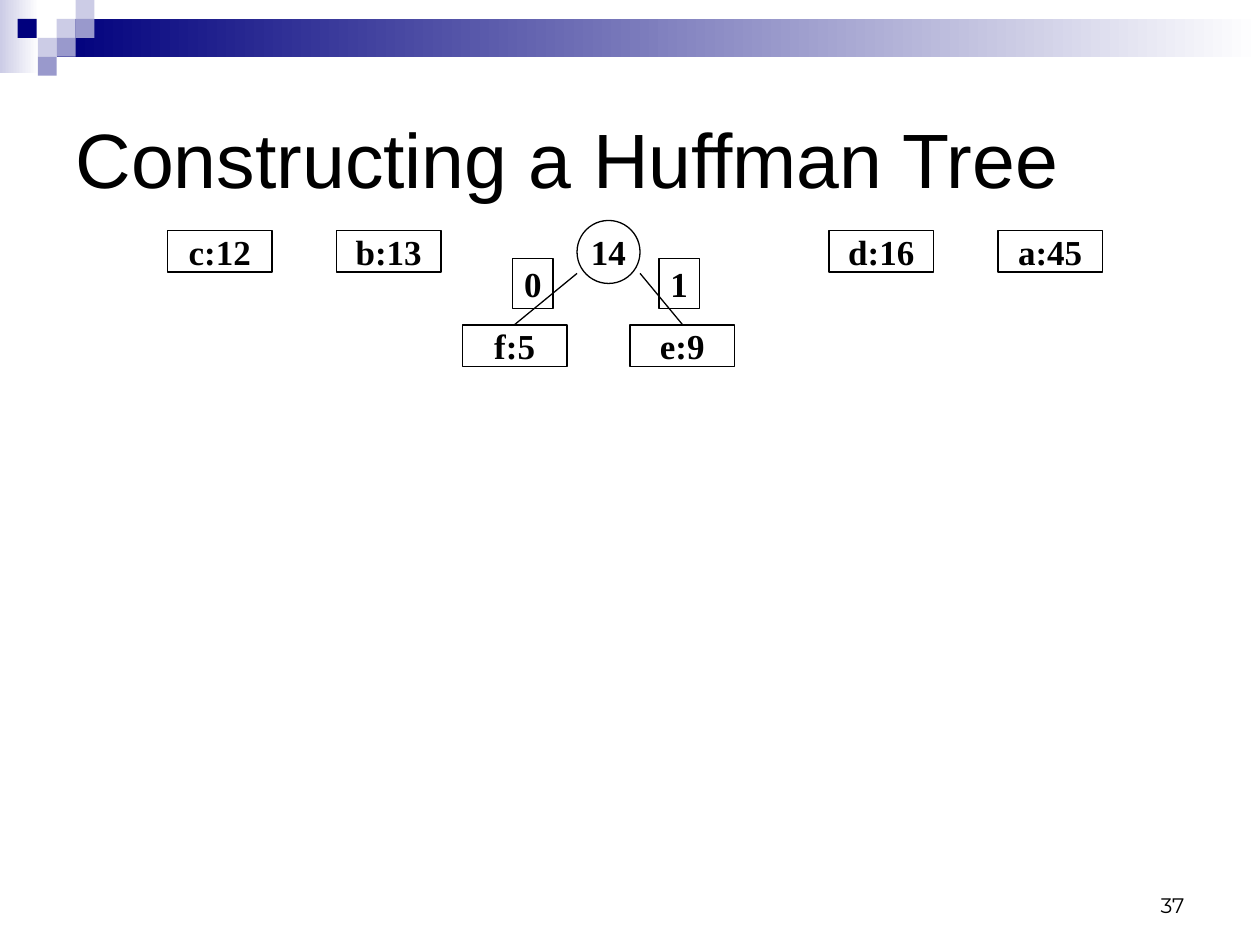
"""Build a slide showing the first merge in a Huffman tree."""
from lxml import etree
from pptx import Presentation
from pptx.dml.color import RGBColor
from pptx.enum.shapes import MSO_CONNECTOR, MSO_SHAPE
from pptx.enum.text import MSO_ANCHOR, PP_ALIGN
from pptx.oxml.ns import qn
from pptx.util import Inches, Pt

RECT, OVAL = MSO_SHAPE.RECTANGLE, MSO_SHAPE.OVAL
LINE = MSO_CONNECTOR.STRAIGHT
MIDDLE, BOTTOM = MSO_ANCHOR.MIDDLE, MSO_ANCHOR.BOTTOM
LEFT, CENTER, RIGHT = PP_ALIGN.LEFT, PP_ALIGN.CENTER, PP_ALIGN.RIGHT
HEX = {"black": "000000", "white": "FFFFFF", "navy": "00007D",
       "mid": "9999CC", "pale": "CCCCE6"}
COLORS = {name: RGBColor.from_string(code) for name, code in HEX.items()}


def add_shape(kind, *box):
    shape = slide.shapes.add_shape(kind, *map(Inches, box))
    shape.shadow.inherit = False
    return shape


def write(shape, text, font, size, align, anchor, bold=False):
    frame = shape.text_frame
    frame.text = text
    frame.vertical_anchor = anchor
    para = frame.paragraphs[0]
    para.alignment = align
    para.font.name = font
    para.font.size = Pt(size)
    para.font.bold = bold
    para.font.color.rgb = COLORS["black"]


deck = Presentation()
deck.slide_width, deck.slide_height = Inches(10), Inches(7.5)
slide = deck.slides.add_slide(deck.slide_layouts[5])

bands = [(0, 0, 0.31, 0.58, "pale"), (0.45, 0.15, 9.55, 0.3, "navy")]
for *box, color in bands:
    band = add_shape(RECT, *box)
    band.line.fill.background()
    band.fill.gradient()
    band.fill.gradient_angle = 0
    for stop, name in zip(band.fill.gradient_stops, (color, "white")):
        stop.color.rgb = COLORS[name]

tiles = [(0.45, 0.15, "pale"), (0.6, 0, "pale"), (0.6, 0.15, "mid"),
         (0.3, 0.3, "pale"), (0.14, 0.15, "navy"), (0.45, 0.3, "mid"),
         (0.3, 0.45, "mid")]
for left, top, color in tiles:
    tile = add_shape(RECT, left, top, 0.15, 0.15)
    tile.line.fill.background()
    tile.fill.solid()
    tile.fill.fore_color.rgb = COLORS[color]

number = slide.shapes.add_textbox(
    Inches(7.17), Inches(6.83), Inches(2.33), Inches(0.5))
number.text_frame.word_wrap = True
write(number, "37", "Montserrat", 12, RIGHT, BOTTOM)

title = slide.shapes.title
title.left, title.top = Inches(0.5), Inches(0.5)
title.width, title.height = Inches(9), Inches(1.5)
write(title, "Constructing a Huffman Tree", "Arial", 44, LEFT, MIDDLE)

leaves = [("c:12", 1.33, 1.83), ("b:13", 2.67, 1.83), ("d:16", 6.58, 1.83),
          ("a:45", 7.92, 1.83), ("f:5", 3.67, 2.58), ("e:9", 5, 2.58)]
nodes = [(RECT, text, left, top, 0.83, 0.33) for text, left, top in leaves]
nodes.append((OVAL, "14", 4.58, 1.75, 0.5, 0.5))
bits = [(RECT, "0", 4.07, 2.05, 0.32, 0.4), (RECT, "1", 5.23, 2.05, 0.32, 0.4)]
for kind, text, *box in nodes + bits:
    node = add_shape(kind, *box)
    node.fill.background()
    node.line.color.rgb = COLORS["black"]
    node.line.width = Pt(0.75)
    node.text_frame.word_wrap = False
    write(node, text, "Times New Roman", 20, CENTER, MIDDLE, True)

for start, end in [(4.08, 4.58), (5.42, 5.08)]:
    edge = slide.shapes.add_connector(
        LINE, Inches(start), Inches(2.58), Inches(end), Inches(2.17))
    edge.line.color.rgb = COLORS["black"]
    edge.line.width = Pt(0.75)
    etree.SubElement(edge._element.spPr, qn("a:effectLst"))

deck.save("out.pptx")
